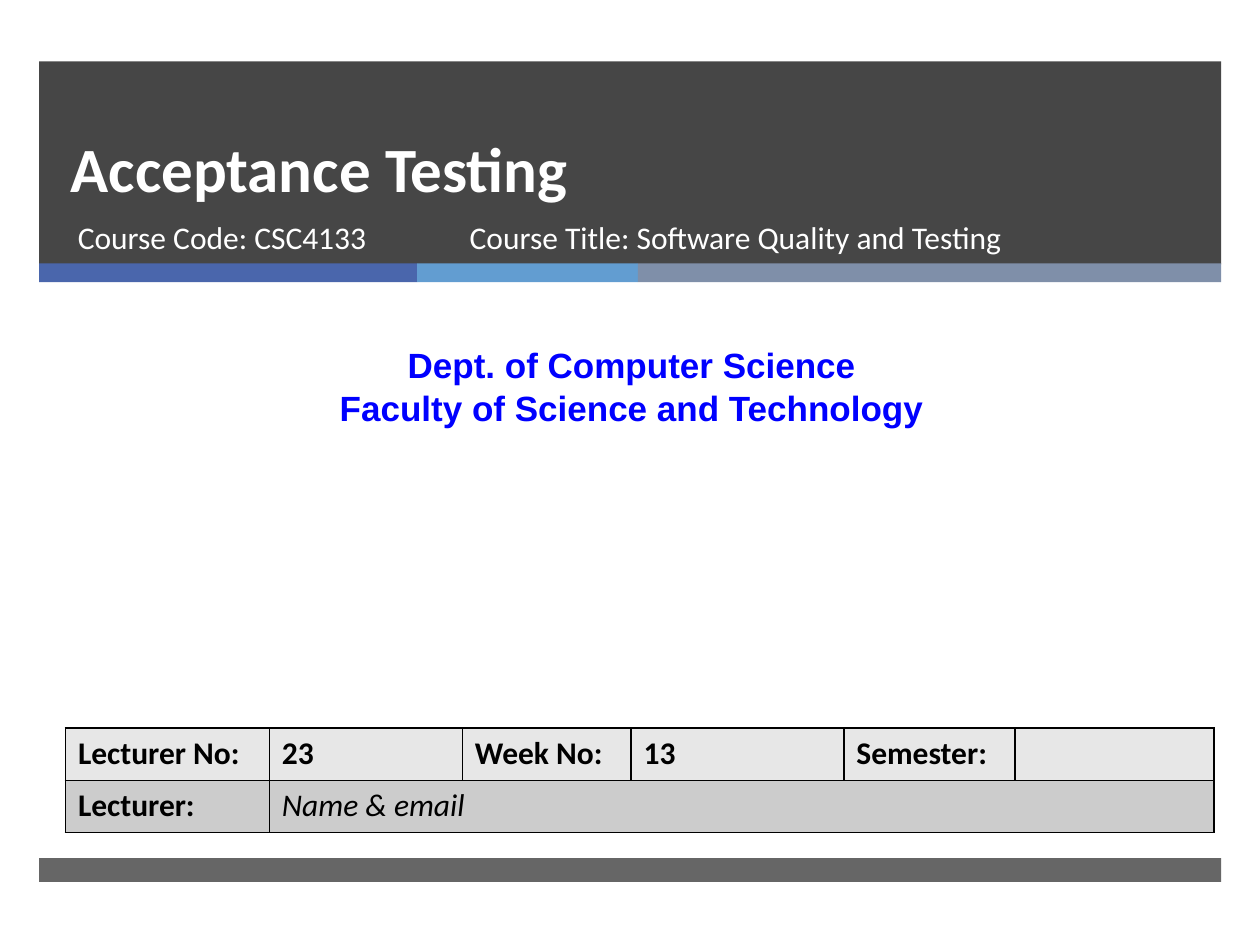
from typing import NamedTuple

from lxml.etree import SubElement
from pptx import Presentation
from pptx.dml.color import RGBColor
from pptx.enum.shapes import MSO_SHAPE as Shape
from pptx.enum.text import MSO_ANCHOR as Anchor, MSO_AUTO_SIZE as AutoSize, PP_ALIGN as Align
from pptx.oxml.ns import qn
from pptx.util import Cm, Pt

WHITE, BLACK, BLUE, DARK = "FFFFFF", "000000", "0000FF", "262626"
BAND_LEFT, BAND_WIDTH = 0.79, 23.83


class Area(NamedTuple):
    """A rectangle in centimetres."""
    left: float
    top: float
    width: float
    height: float

    def lengths(self):
        return [Cm(value) for value in self]


class Bar(NamedTuple):
    area: Area
    color: str
    opacity: int = 100


class Label(NamedTuple):
    area: Area
    text: str


HEADER = Bar(Area(BAND_LEFT, 1.24, BAND_WIDTH, 4.09), DARK, 85)
FOOTER = Bar(Area(BAND_LEFT, 17.3, BAND_WIDTH, 0.48), DARK, 70)
STRIPES = [(7.62, "4A66AC"), (4.45, "629DD1"), (11.76, "7F8FA9")]
COURSE_LABELS = [
    Label(Area(1.32, 4.27, 7.75, 1.35), "Course Code: CSC4133"),
    Label(Area(9.22, 4.27, 11.56, 1.35), "Course Title: Software Quality and Testing"),
]
COLUMN_WIDTHS = [4.11, 3.89, 3.4, 4.29, 3.45, 4.01]
ROW_HEIGHT = 1.05
TABLE_ROWS = [
    ("E7E7E7", ["Lecturer No:", "23", "Week No:", "13", "Semester:", ""]),
    ("CCCCCC", ["Lecturer:", "Name & email", "", "", "", ""]),
]


def rgb(color: str) -> RGBColor:
    return RGBColor.from_string(color)


def write(frame, text: str, *, size=18, font="Calibri", color=WHITE, bold=False,
          italic=False, align=Align.LEFT, spacing=None) -> None:
    """Fill a text frame, one paragraph for each line of text."""
    frame.text = text
    for para in frame.paragraphs:
        para.alignment = align
        para.line_spacing = spacing
        for span in para.runs:
            span.font.size = Pt(size)
            span.font.name = font
            span.font.bold = bold
            span.font.italic = italic
            span.font.color.rgb = rgb(color)


def draw_bar(page, bar: Bar) -> None:
    box = page.shapes.add_shape(Shape.RECTANGLE, *bar.area.lengths())
    box.shadow.inherit = False
    box.line.fill.background()
    box.fill.solid()
    box.fill.fore_color.rgb = rgb(bar.color)
    if bar.opacity < 100:
        fill_color = box.element.spPr.find(qn("a:solidFill"))[0]
        SubElement(fill_color, qn("a:alpha"), val=str(bar.opacity * 1000))


def draw_label(page, label: Label, **text_format) -> None:
    box = page.shapes.add_textbox(*label.area.lengths())
    box.text_frame.word_wrap = True
    write(box.text_frame, label.text, **text_format)


def place_title(page, label: Label) -> None:
    """Format the title placeholder and bring it in front of the header."""
    title = page.shapes.title
    title.left, title.top, title.width, title.height = label.area.lengths()
    frame = title.text_frame
    write(frame, label.text, size=36, bold=True, spacing=Pt(46))
    frame.auto_size = AutoSize.NONE
    frame.vertical_anchor = Anchor.BOTTOM
    title.element.getparent().append(title.element)


def format_cell(cell, fill: str) -> None:
    """Give a cell thin black borders and a plain fill."""
    properties = cell._tc.get_or_add_tcPr()
    for side in ("lnL", "lnR", "lnT", "lnB"):
        border = SubElement(properties, qn(f"a:{side}"), w=str(Pt(1)))
        paint = SubElement(border, qn("a:solidFill"))
        SubElement(paint, qn("a:srgbClr"), val=BLACK)
    cell.fill.solid()
    cell.fill.fore_color.rgb = rgb(fill)


def draw_lecture_table(page) -> None:
    area = Area(1.32, 14.68, sum(COLUMN_WIDTHS), ROW_HEIGHT * len(TABLE_ROWS))
    table = page.shapes.add_table(len(TABLE_ROWS), len(COLUMN_WIDTHS), *area.lengths()).table
    for column, width in zip(table.columns, COLUMN_WIDTHS):
        column.width = Cm(width)
    for row, (fill, texts) in enumerate(TABLE_ROWS):
        table.rows[row].height = Cm(ROW_HEIGHT)
        for column, text in enumerate(texts):
            cell = table.cell(row, column)
            format_cell(cell, fill)
            is_name = row == 1 and column == 1
            write(cell.text_frame, text, color=BLACK, bold=not is_name, italic=is_name)
    table.cell(1, 1).merge(table.cell(1, len(COLUMN_WIDTHS) - 1))


def main() -> None:
    deck = Presentation()
    deck.slide_width, deck.slide_height = Cm(25.4), Cm(19.05)
    page = deck.slides.add_slide(deck.slide_layouts[5])

    draw_bar(page, HEADER)
    left = BAND_LEFT
    for width, color in STRIPES:
        draw_bar(page, Bar(Area(left, 5.31, width, 0.38), color))
        left += width
    draw_bar(page, FOOTER)

    place_title(page, Label(Area(1.17, 2.21, 21.69, 2.06), "Acceptance Testing"))
    for label in COURSE_LABELS:
        draw_label(page, label)
    department = "Dept. of Computer Science\nFaculty of Science and Technology"
    draw_label(page, Label(Area(0.2, 6.81, 25.07, 1.96), department),
               size=20, font="Arial", color=BLUE, bold=True, align=Align.CENTER)
    draw_lecture_table(page)
    deck.save("out.pptx")


if __name__ == "__main__":
    main()
